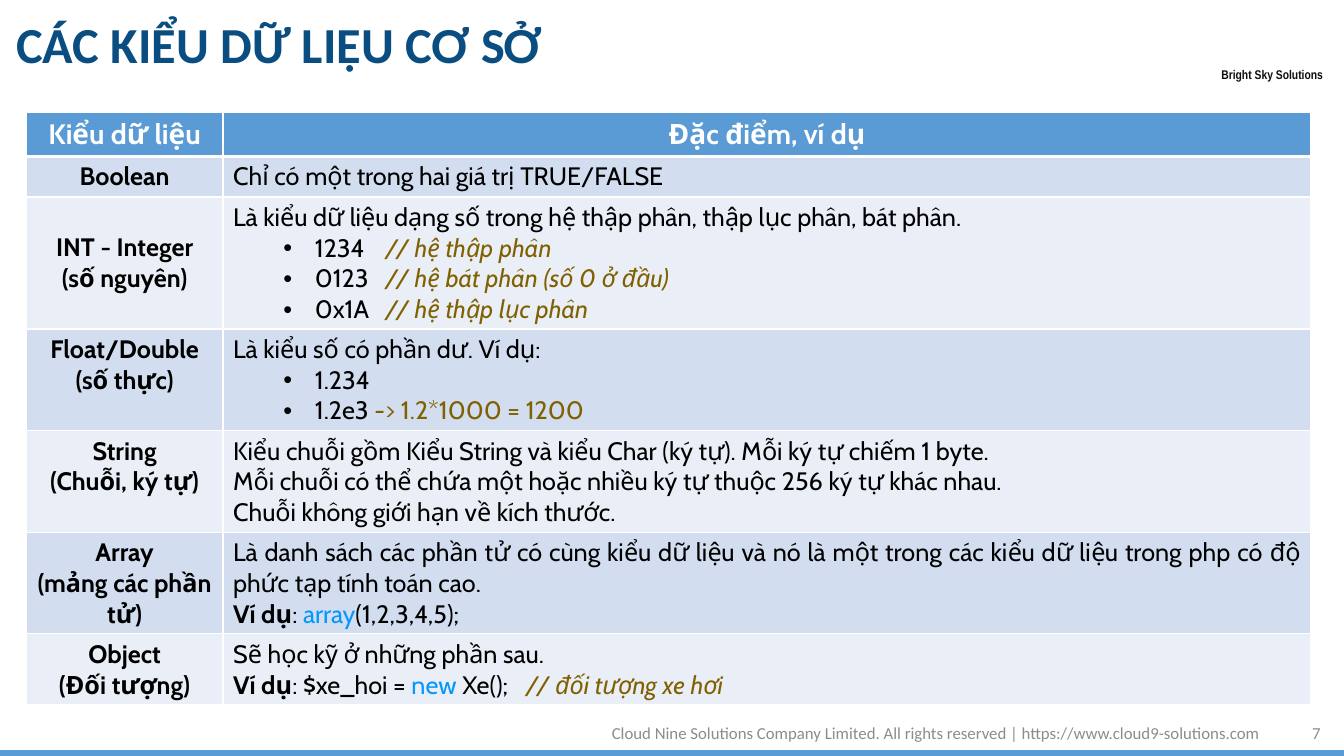
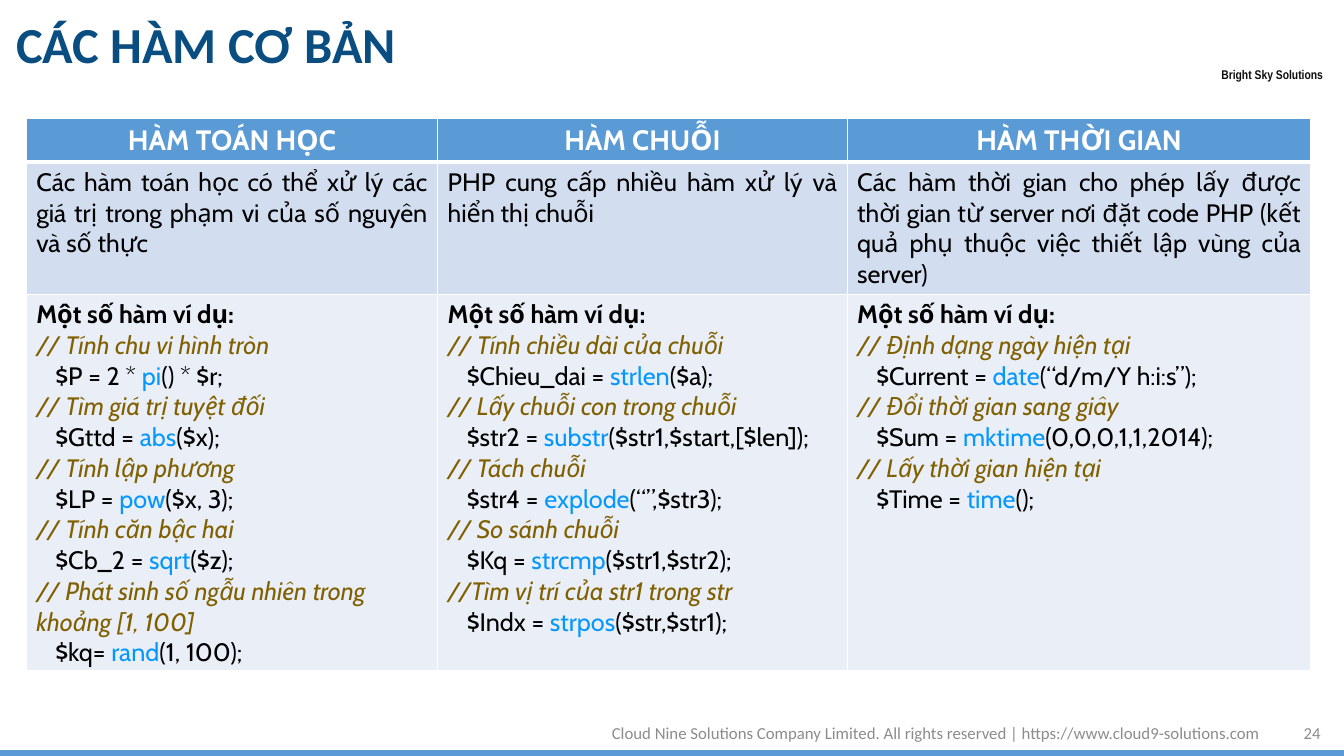
from lxml import etree
from pptx import Presentation
from pptx.dml.color import RGBColor
from pptx.enum.shapes import MSO_SHAPE
from pptx.enum.text import MSO_ANCHOR, PP_ALIGN
from pptx.oxml.ns import qn
from pptx.util import Cm, Pt

LEFT, MID, RIGHT, JUST = PP_ALIGN.LEFT, PP_ALIGN.CENTER, PP_ALIGN.RIGHT, PP_ALIGN.JUSTIFY
CENTRE = MSO_ANCHOR.MIDDLE
RECT = MSO_SHAPE.RECTANGLE

HUES = {
    "white": "FFFFFF", "black": "000000", "blue": "5B9BD5", "navy": "094D81",
    "odd": "D2DEEF", "even": "EAEFF7", "note": "806000", "word": "0697FD",
    "grey": "8C8C8C", "ink": "0D0D0D",
}
TITLE = {"name": "Calibri", "size": Pt(36), "bold": True, "color": "navy"}
FOOT = {"name": "Calibri", "size": Pt(12), "color": "grey"}
BADGE = {"name": "Arial Narrow", "size": Pt(9), "bold": True, "color": "ink"}
HEAD = {"name": "Cabin", "size": Pt(20), "bold": True, "color": "white"}
BODY = {"name": "Cabin", "size": Pt(18), "bold": False, "color": "black"}
MARKS = {
    "^": {"color": "word"},
    "!": {"bold": True},
    "~": {"color": "note"},
    "/": {"color": "note", "italic": True},
}
LINE, PAD = 0.77, 0.25
RULES = "Cloud Nine Solutions Company Limited. All rights reserved | https://www.cloud9-solutions.com"
SOME = "!Một số hàm ví dụ:"

DECK = [
    {
        "title": "CÁC KIỂU DỮ LIỆU CƠ SỞ", "page": "7", "top": 2.84,
        "cols": [4.96, 27.42], "tall": [1, 1, 4, 3, 3, 3, 2],
        "names": [0], "centred": [(2, 0)],
        "rows": [
            ["Kiểu dữ liệu", "Đặc điểm, ví dụ"],
            ["Boolean", "Chỉ có một trong hai giá trị TRUE/FALSE"],
            ["INT - Integer\n(số nguyên)",
             "Là kiểu dữ liệu dạng số trong hệ thập phân, thập lục phân, bát phân.\n"
             "•1234\t|// hệ thập phân\n"
             "•0123\t|// hệ bát phân (số 0 ở đầu)\n"
             "•0x1A\t|// hệ thập lục phân"],
            ["Float/Double\n(số thực)",
             "Là kiểu số có phần dư. Ví dụ:\n•1.234\n•1.2e3 |~-> 1.2*1000 = 1200"],
            ["String\n(Chuỗi, ký tự)",
             "Kiểu chuỗi gồm Kiểu String và kiểu Char (ký tự). Mỗi ký tự chiếm 1 byte.\n"
             "Mỗi chuỗi có thể chứa một hoặc nhiều ký tự thuộc 256 ký tự khác nhau.\n"
             "Chuỗi không giới hạn về kích thước."],
            ["Array\n(mảng các phần tử)",
             "Là danh sách các phần tử có cùng kiểu dữ liệu và nó là một trong các kiểu "
             "dữ liệu trong php có độ phức tạp tính toán cao.\n"
             "!Ví dụ|: |^array|(1,2,3,4,5);"],
            ["Object\n(Đối tượng)",
             "Sẽ học kỹ ở những phần sau.\n"
             "!Ví dụ|: $xe_hoi = |^new| Xe();\t|// đối tượng xe hơi"],
        ],
    },
    {
        "title": "CÁC HÀM CƠ BẢN", "page": "24", "top": 2.98,
        "cols": [10.37, 10.32, 11.69], "tall": [1, 4, 12],
        "names": [], "centred": [],
        "rows": [
            ["HÀM TOÁN HỌC", "HÀM CHUỖI", "HÀM THỜI GIAN"],
            ["Các hàm toán học có thể xử lý các giá trị trong phạm vi của số nguyên và số thực",
             "PHP cung cấp nhiều hàm xử lý và hiển thị chuỗi",
             "Các hàm thời gian cho phép lấy được thời gian từ server nơi đặt code PHP "
             "(kết quả phụ thuộc việc thiết lập vùng của server)"],
            [SOME + "\n// Tính chu vi hình tròn\n>$P = 2 * |^pi|() * $r;\n"
             "// Tìm giá trị tuyệt đối\n>$Gttd = |^abs|($x);\n"
             "// Tính lập phương\n>$LP = |^pow|($x, 3);\n"
             "// Tính căn bậc hai\n>$Cb_2 = |^sqrt|($z);\n"
             "<// Phát sinh số ngẫu nhiên trong khoảng [1, 100]\n>$kq= |^rand|(1, 100);",
             SOME + "\n// Tính chiều dài của chuỗi\n>$Chieu_dai = |^strlen|($a);\n"
             "// Lấy chuỗi con trong chuỗi\n>$str2 = |^substr|($str1,$start,[$len]);\n"
             "// Tách chuỗi\n>$str4 = |^explode|(“”,$str3);\n"
             "// So sánh chuỗi\n>$Kq = |^strcmp|($str1,$str2);\n"
             "//Tìm vị trí của str1 trong str\n>$Indx = |^strpos|($str,$str1);",
             SOME + "\n// Định dạng ngày hiện tại\n>$Current = |^date|(“d/m/Y h:i:s”);\n"
             "// Đổi thời gian sang giây\n>$Sum = |^mktime|(0,0,0,1,1,2014);\n"
             "// Lấy thời gian hiện tại\n>$Time = |^time|();"],
        ],
    },
]


def add_run(para, text, form):
    run = para.add_run()
    run.text = text
    for key, val in form.items():
        if key == "color":
            run.font.color.rgb = RGBColor.from_string(HUES[val])
        else:
            setattr(run.font, key, val)


def fill_cell(cell, text, form, side):
    for num, line in enumerate(text.split("\n")):
        frame = cell.text_frame
        para = frame.add_paragraph() if num else frame.paragraphs[0]
        para.alignment = LEFT if line[0] == "<" else side
        props = para._p.get_or_add_pPr()
        if line[0] == "•":
            props.set("marL", str(Cm(2.06)))
            props.set("indent", str(Cm(-0.79)))
            etree.SubElement(props, qn("a:buFont"), typeface="Arial")
            etree.SubElement(props, qn("a:buChar"), char="•")
        elif line[0] == ">":
            props.set("marL", str(Cm(0.48)))
        if "\t" in line:
            tabs = etree.SubElement(props, qn("a:tabLst"))
            stop = Cm(3.84 if line[0] == "•" else 7.38)
            etree.SubElement(tabs, qn("a:tab"), pos=str(stop), algn="l")
        for part in line.lstrip("•><").split("|"):
            mark = MARKS.get(part[0], {})
            add_run(para, part.lstrip("^!~"), {**form, **mark})


deck = Presentation()
deck.slide_width, deck.slide_height = Cm(33.87), Cm(19.05)

for page in DECK:
    slide = deck.slides.add_slide(deck.slide_layouts[5])
    shapes = slide.shapes

    band = shapes.add_shape(RECT, 0, Cm(18.92), Cm(33.87), Cm(0.13))
    band.shadow.inherit = False
    band.fill.solid()
    band.fill.fore_color.rgb = RGBColor.from_string(HUES["blue"])
    band.line.color.rgb = RGBColor.from_string(HUES["blue"])
    band.line.width = Pt(1.25)

    title = shapes.title
    title.left, title.top, title.width, title.height = Cm(0.15), Cm(0.18), Cm(30.05), Cm(2.03)
    title.text_frame.vertical_anchor = CENTRE
    para = title.text_frame.paragraphs[0]
    para.alignment, para.line_spacing = LEFT, 0.9
    add_run(para, page["title"], TITLE)

    for text, form, side, inset, spot in [
        ("Bright Sky Solutions", BADGE, LEFT, 0, (30.78, 1.68, 2.64, 0.38)),
        (page["page"], FOOT, RIGHT, 0.25, (32.18, 17.96, 1.35, 1.02)),
        (RULES, FOOT, RIGHT, 0.25, (11.99, 17.96, 20.02, 1.02)),
    ]:
        frame = shapes.add_textbox(*map(Cm, spot)).text_frame
        frame.word_wrap = inset > 0
        frame.vertical_anchor = CENTRE
        frame.margin_left = frame.margin_right = Cm(inset)
        frame.margin_top = frame.margin_bottom = Cm(inset / 2)
        frame.paragraphs[0].alignment = side
        add_run(frame.paragraphs[0], text, form)

    tall = [Cm(LINE * count + PAD) for count in page["tall"]]
    wide = [Cm(size) for size in page["cols"]]
    grid = shapes.add_table(len(tall), len(wide), Cm(0.66), Cm(page["top"]), sum(wide), sum(tall)).table
    for col, size in zip(grid.columns, wide):
        col.width = size
    for row, size in zip(grid.rows, tall):
        row.height = size
    for down, texts in enumerate(page["rows"]):
        for over, text in enumerate(texts):
            cell = grid.cell(down, over)
            name = over in page["names"]
            form = {**BODY, "bold": name} if down else HEAD
            fill_cell(cell, text, form, MID if name or not down else JUST)
            if (down, over) in page["centred"]:
                cell.vertical_anchor = CENTRE
            props = cell._tc.get_or_add_tcPr()
            for edge in "LRTB":
                thick = (edge == "B" and down == 0) or (edge == "T" and down == 1)
                rule = etree.SubElement(props, qn("a:ln" + edge), w=str(Pt(3 if thick else 1)))
                paint = etree.SubElement(rule, qn("a:solidFill"))
                etree.SubElement(paint, qn("a:srgbClr"), val=HUES["white"])
            cell.fill.solid()
            shade = "blue" if down == 0 else "odd" if down % 2 else "even"
            cell.fill.fore_color.rgb = RGBColor.from_string(HUES[shade])

deck.save("out.pptx")
